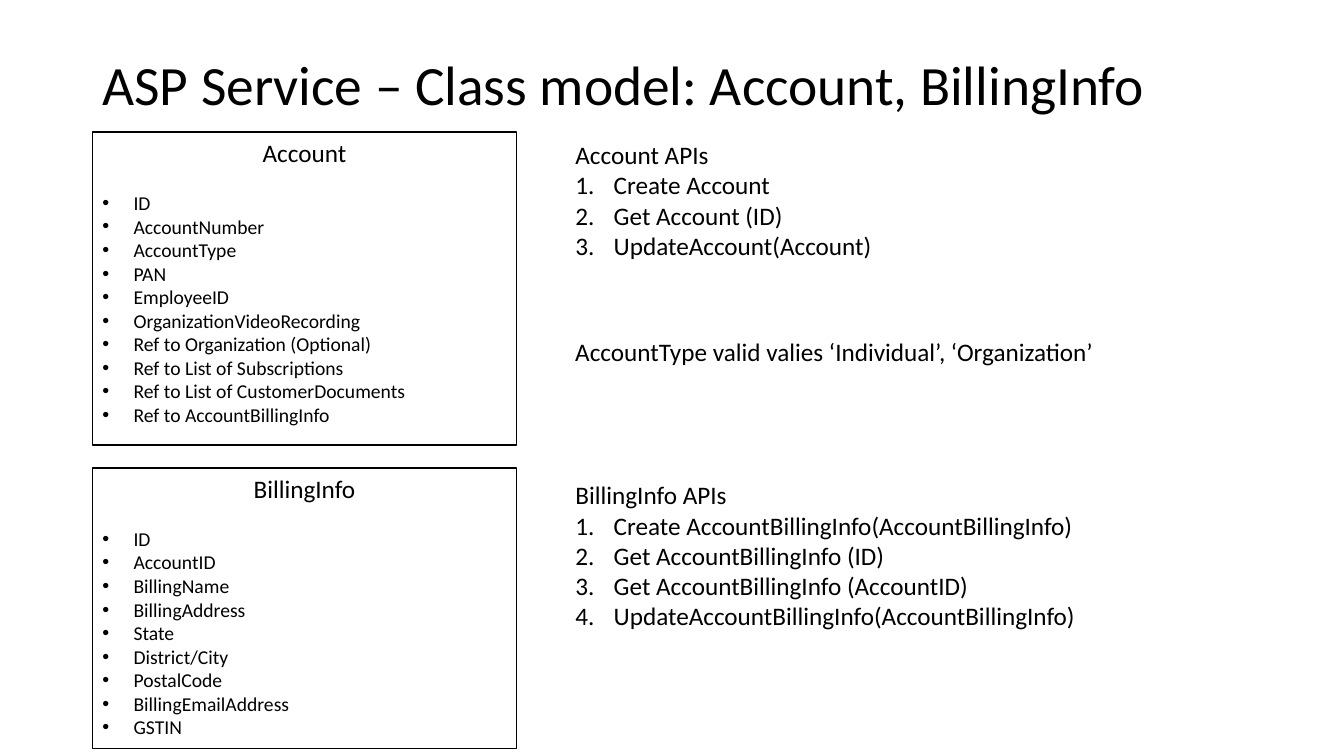
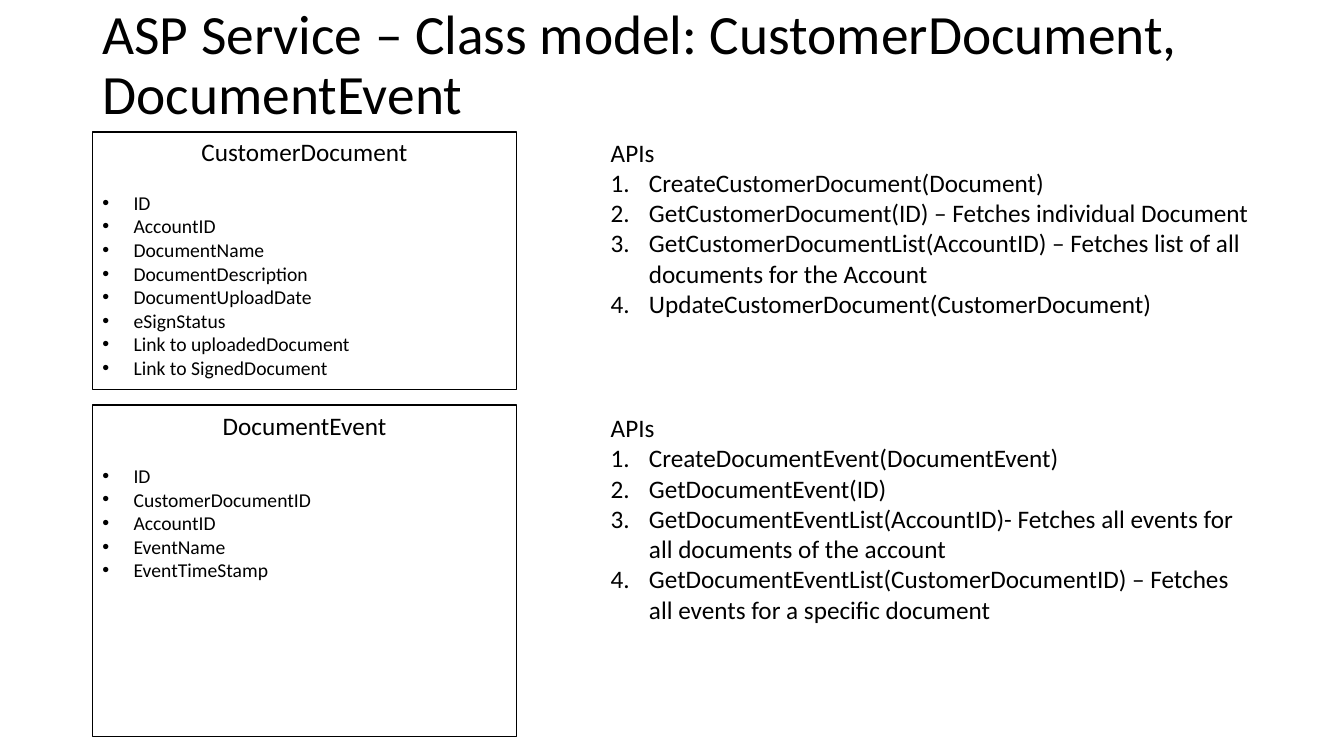
import pptx
import pptx.dml.color
import pptx.enum.shapes
import pptx.enum.text
import pptx.oxml.ns
import pptx.util
import lxml.etree

COLS, ROWS = 160, 90
ANCHOR = pptx.enum.text.MSO_ANCHOR
ALIGN = pptx.enum.text.PP_ALIGN


class Theme:
    ink = pptx.dml.color.RGBColor(0, 0, 0)
    face = "Calibri"
    title = pptx.util.Pt(39.6)
    text = pptx.util.Pt(18)
    small = pptx.util.Pt(14)
    line = pptx.util.Pt(1)
    gap = pptx.util.Pt(17)
    dot_dent = pptx.util.Inches(0.31)
    num_dent = pptx.util.Inches(0.38)
    left = 11
    box_wide = 50.5


DOT = {"buFont": {"typeface": "Arial"}, "buChar": {"char": "•"}}
NUM = {"buFont": {"typeface": "+mj-lt"}, "buAutoNum": {"type": "arabicPeriod"}}
PLAIN = {"buNone": {}}


def assign(item, values):
    for name, value in values.items():
        setattr(item, name, value)


class Deck:
    def __init__(self):
        self.show = pptx.Presentation()
        assign(self.show, {"slide_width": pptx.util.Inches(13.333),
                           "slide_height": pptx.util.Inches(7.5)})
        self.slide = None

    def area(self, left, top, width, height):
        """Turn grid columns and rows into slide lengths."""
        col = self.show.slide_width / COLS
        row = self.show.slide_height / ROWS
        return [round(n * unit) for n, unit in
                zip((left, top, width, height), (col, row, col, row))]

    def place(self, item, area):
        assign(item, dict(zip(("left", "top", "width", "height"), self.area(*area))))

    def frame(self, item, anchor=ANCHOR.TOP):
        assign(item.text_frame, {"word_wrap": True, "vertical_anchor": anchor,
                                 "auto_size": pptx.enum.text.MSO_AUTO_SIZE.NONE})
        return item.text_frame

    def say(self, para, text, size=Theme.text, mark=PLAIN, dent=0, **form):
        """Fill a paragraph; mark holds its bullet elements."""
        props = para._p.get_or_add_pPr()
        props.set("marL", str(dent))
        props.set("indent", str(-dent))
        for tag, values in mark.items():
            lxml.etree.SubElement(props, pptx.oxml.ns.qn("a:" + tag), values)
        assign(para, {"alignment": ALIGN.LEFT, "space_before": 0, **form})
        run = para.add_run()
        run.text = text
        assign(run.font, {"name": Theme.face, "size": size})
        run.font.color.rgb = Theme.ink

    def page(self, title, top, width):
        """Start a slide with two list placeholders."""
        self.slide = self.show.slides.add_slide(self.show.slide_layouts[3])
        head = self.slide.shapes.title
        self.place(head, (Theme.left, top, width, 11.2))
        frame = self.frame(head, ANCHOR.MIDDLE)
        self.say(frame.paragraphs[0], title, Theme.title, line_spacing=0.9)

    def model(self, name, fields, top, height):
        """Draw a class box with its fields."""
        box = self.slide.shapes.add_shape(
            pptx.enum.shapes.MSO_SHAPE.RECTANGLE,
            *self.area(Theme.left, top, Theme.box_wide, height))
        box.shadow.inherit = False
        box.fill.background()
        box.line.color.rgb = Theme.ink
        box.line.width = Theme.line
        frame = self.frame(box)
        self.say(frame.paragraphs[0], name, alignment=ALIGN.CENTER)
        for count, field in enumerate(fields):
            self.say(frame.add_paragraph(), field, Theme.small, DOT,
                     Theme.dot_dent, space_before=0 if count else Theme.gap)

    def calls(self, slot, head, items, left, top, height):
        """Fill a list placeholder with numbered calls."""
        body = self.slide.placeholders[slot]
        self.place(body, (left, top, 78.6, height))
        frame = self.frame(body)
        self.say(frame.paragraphs[0], head)
        for item in items:
            self.say(frame.add_paragraph(), item, mark=NUM, dent=Theme.num_dent)

    def note(self, text, left, top):
        box = self.slide.shapes.add_textbox(*self.area(left, top, 64.7, 4.8))
        self.say(self.frame(box).paragraphs[0], text)


def main():
    deck = Deck()

    left = 67.3
    deck.page("ASP Service – Class model: Account, BillingInfo", 4.8, 138)
    deck.model("Account", (
        "ID", "AccountNumber", "AccountType", "PAN", "EmployeeID",
        "OrganizationVideoRecording", "Ref to Organization (Optional)",
        "Ref to List of Subscriptions", "Ref to List of CustomerDocuments",
        "Ref to AccountBillingInfo"), 15.7, 37.3)
    deck.calls(1, "Account APIs", (
        "Create Account", "Get Account (ID)", "UpdateAccount(Account)"),
        left, 16, 15.7)
    deck.model("BillingInfo", (
        "ID", "AccountID", "BillingName", "BillingAddress", "State",
        "District/City", "PostalCode", "BillingEmailAddress", "GSTIN"),
        55.7, 33.4)
    deck.calls(2, "BillingInfo APIs", (
        "Create AccountBillingInfo(AccountBillingInfo)",
        "Get AccountBillingInfo (ID)", "Get AccountBillingInfo (AccountID)",
        "UpdateAccountBillingInfo(AccountBillingInfo)"), left, 56.5, 19.4)
    deck.note("AccountType valid valies ‘Individual’, ‘Organization’", left, 39.5)

    left = 71.5
    deck.page("ASP Service – Class model: CustomerDocument, DocumentEvent",
              2.3, 147.8)
    deck.model("CustomerDocument", (
        "ID", "AccountID", "DocumentName", "DocumentDescription",
        "DocumentUploadDate", "eSignStatus", "Link to uploadedDocument",
        "Link to SignedDocument"), 15.7, 30.7)
    deck.calls(1, "APIs", (
        "CreateCustomerDocument(Document)",
        "GetCustomerDocument(ID) – Fetches individual Document",
        "GetCustomerDocumentList(AccountID) – Fetches list of all documents "
        "for the Account",
        "UpdateCustomerDocument(CustomerDocument)"), left, 15.7, 23)
    deck.model("DocumentEvent", (
        "ID", "CustomerDocumentID", "AccountID", "EventName",
        "EventTimeStamp"), 48.2, 39.5)
    deck.calls(2, "APIs", (
        "CreateDocumentEvent(DocumentEvent)", "GetDocumentEvent(ID)",
        "GetDocumentEventList(AccountID)- Fetches all events for all "
        "documents of the account",
        "GetDocumentEventList(CustomerDocumentID) – Fetches all events for "
        "a specific document"), left, 48.5, 30.2)

    deck.show.save("out.pptx")


if __name__ == "__main__":
    main()
